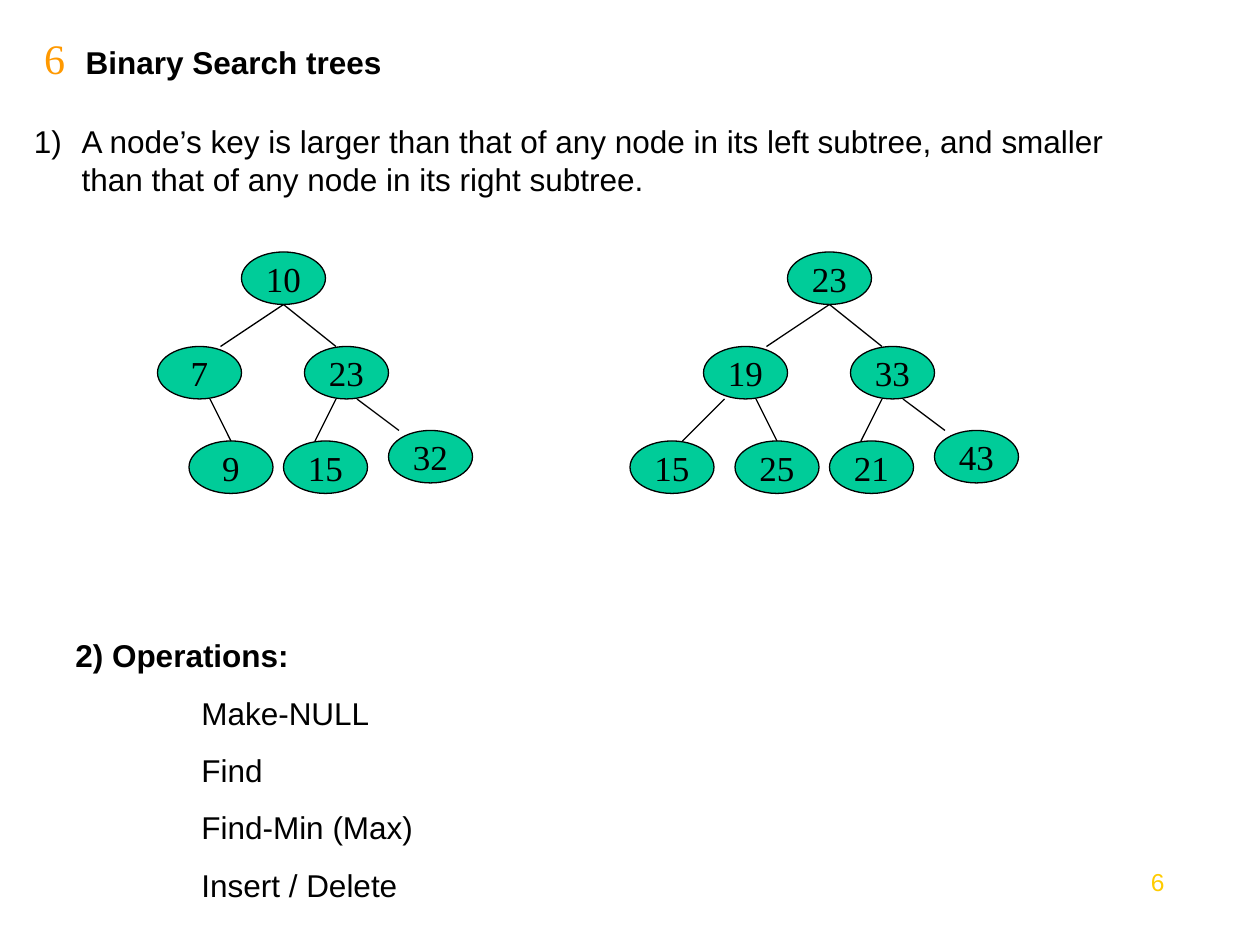
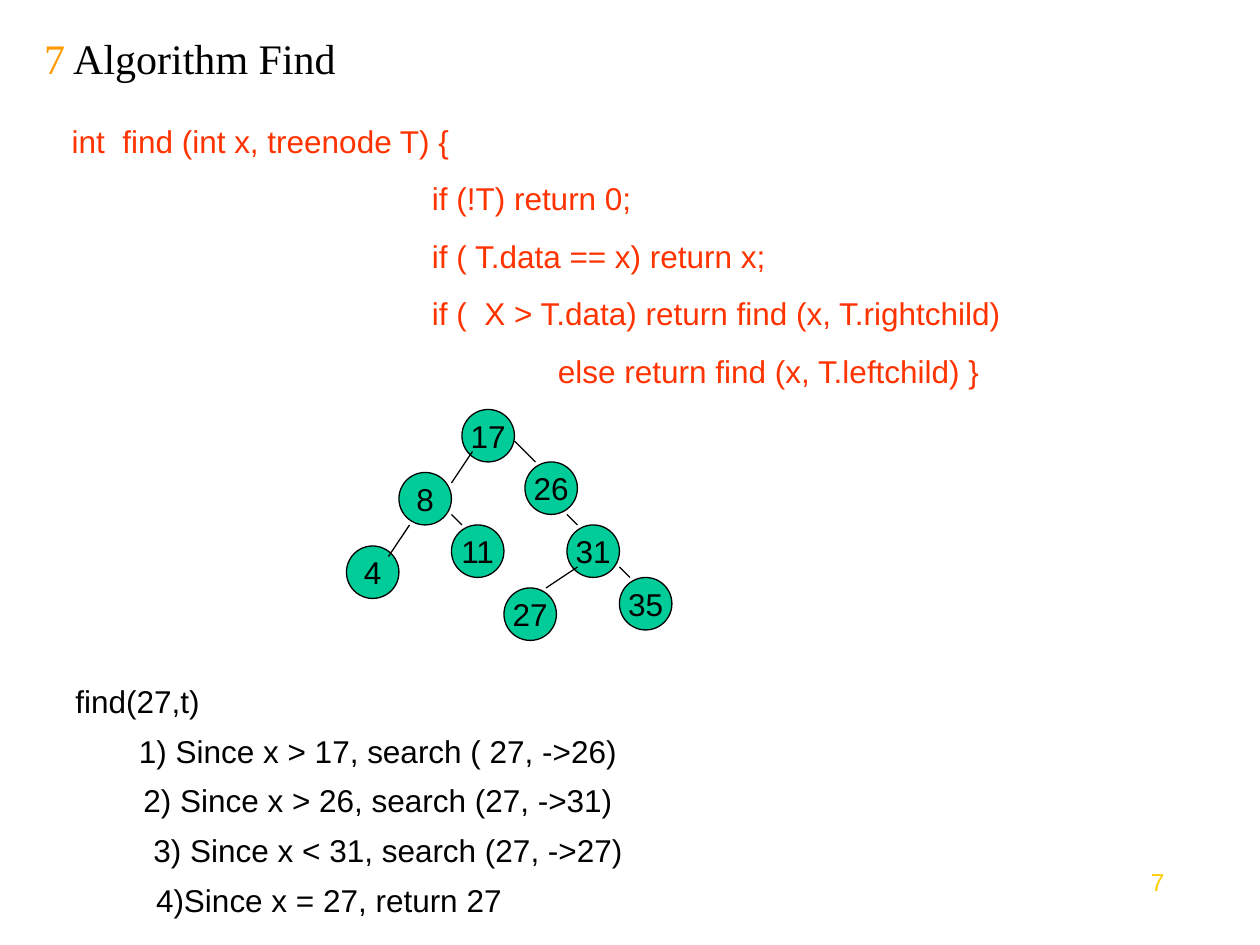
from lxml import etree
from pptx import Presentation
from pptx.dml.color import RGBColor
from pptx.enum.shapes import MSO_CONNECTOR, MSO_SHAPE
from pptx.enum.text import MSO_ANCHOR, MSO_AUTO_SIZE, PP_ALIGN
from pptx.oxml.ns import qn
from pptx.util import Inches, Pt

LEFT, CENTER, RIGHT = PP_ALIGN.LEFT, PP_ALIGN.CENTER, PP_ALIGN.RIGHT
MIDDLE = MSO_ANCHOR.MIDDLE
NO_FIT = MSO_AUTO_SIZE.NONE
ELLIPSE = MSO_SHAPE.OVAL
STRAIGHT = MSO_CONNECTOR.STRAIGHT

COLORS = {
    "ink": "000000",
    "node": "00CC99",
    "code": "FF3300",
    "title number": "FF9900",
    "page number": "FFCC00",
}
BODY = {"name": "Arial", "size": Pt(18), "bold": False, "color": "ink"}
BOLD = {**BODY, "bold": True}
CODE = {**BODY, "color": "code"}
TITLE = {**BODY, "name": "Times New Roman", "size": Pt(24)}
TITLE_NUMBER = {**TITLE, "color": "title number"}
PAGE_NUMBER = {**BODY, "size": Pt(14), "color": "page number"}
SERIF_KEY = {**TITLE, "size": Pt(20)}
GRID = 12


def write(frame, lines, **spacing):
    for index, (runs, indent, align) in enumerate(lines):
        paragraph = frame.add_paragraph() if index else frame.paragraphs[0]
        paragraph.alignment = align
        paragraph._p.get_or_add_pPr().set("marL", str(Inches(indent)))
        for attribute, value in spacing.items():
            if index or attribute != "space_before":
                setattr(paragraph, attribute, value)
        for text, style in runs:
            run = paragraph.add_run()
            run.text = text
            for attribute, value in style.items():
                if attribute == "color":
                    run.font.color.rgb = RGBColor.from_string(COLORS[value])
                else:
                    setattr(run.font, attribute, value)


def draw_tree(slide, root, node_size, keys, edges, style):
    tree = slide.shapes.add_group_shape().shapes
    root_x, root_y = root
    width, height = node_size
    for key, x, y in keys:
        node = tree.add_shape(
            ELLIPSE,
            Inches((root_x + x) / GRID), Inches((root_y + y) / GRID),
            Inches(width / GRID), Inches(height / GRID),
        )
        node.shadow.inherit = False
        node.fill.solid()
        node.fill.fore_color.rgb = RGBColor.from_string(COLORS["node"])
        node.line.color.rgb = RGBColor.from_string(COLORS["ink"])
        node.line.width = Pt(0.75)
        node.text_frame.word_wrap = False
        node.text_frame.vertical_anchor = MIDDLE
        write(node.text_frame, [([(str(key), style)], 0, CENTER)])
    for x1, y1, x2, y2 in edges:
        edge = tree.add_connector(
            STRAIGHT,
            Inches((root_x + x1) / GRID), Inches((root_y + y1) / GRID),
            Inches((root_x + x2) / GRID), Inches((root_y + y2) / GRID),
        )
        edge.line.color.rgb = RGBColor.from_string(COLORS["ink"])
        edge.line.width = Pt(0.75)
        etree.SubElement(edge._element.spPr, qn("a:effectLst"))


prs = Presentation()
prs.slide_width, prs.slide_height = Inches(10), Inches(7.5)

wide_places = [(0, 0), (-8, 9), (6, 9), (-5, 18), (4, 18), (14, 17)]
wide_edges = [
    (4, 5, -2, 9), (4, 5, 9, 9), (-3, 14, -1, 18), (9, 14, 7, 18), (11, 14, 15, 17),
]
left_keys = [(key, *place) for key, place in zip([10, 7, 23, 9, 15, 32], wide_places)]
right_keys = [(key, *place) for key, place in zip([23, 19, 33, 25, 21, 43], wide_places)]
find_keys = [
    (17, 0, 0), (8, -6, 6), (4, -11, 13), (26, 6, 5),
    (31, 10, 11), (27, 4, 17), (11, -1, 11), (35, 15, 16),
]
find_edges = [
    (1, 4, -1, 7), (-5, 11, -7, 14), (5, 3, 7, 5), (10, 10, 11, 11),
    (11, 15, 8, 17), (-1, 10, 0, 11), (15, 15, 16, 16),
]

definition = (
    "A node’s key is larger than that of any node in its left subtree, "
    "and smaller than that of any node in its right subtree."
)
operations = [([("2) Operations:", BOLD)], 0, LEFT)] + [
    ([(name, BODY)], 1, LEFT)
    for name in ("Make-NULL", "Find", "Find-Min (Max)", "Insert / Delete")
]
find_code = [
    ([(code, CODE)], indent, LEFT)
    for code, indent in [
        ("int  find (int x, treenode T) {", 0.14),
        ("if (!T) return 0;", 3),
        ("if ( T.data == x) return x;", 3),
        ("if (  X > T.data) return find (x, T.rightchild)", 3),
        ("else return find (x, T.leftchild) }", 4),
    ]
]
find_steps = [
    ([(step, BODY)], indent, align)
    for step, indent, align in [
        ("find(27,t)", 0, LEFT),
        ("1) Since x > 17, search ( 27, ->26)", 0, CENTER),
        ("2) Since x > 26, search (27, ->31)", 0, CENTER),
        ("3) Since x < 31, search (27, ->27)", 0.62, LEFT),
        ("4)Since x = 27, return 27", 0.64, LEFT),
    ]
]

pages = [
    {
        "number": "6",
        "title": ("\tBinary Search trees", BOLD),
        "texts": [
            ((0.17, 0.92, 9, 0.7), [([(definition, BODY)], 0.38, LEFT)], {}),
            ((0.5, 5, 5, 2.23), operations, {}),
        ],
        "trees": [
            ((23, 24), (8, 5), left_keys, wide_edges, SERIF_KEY),
            ((75, 24), (8, 5), right_keys + [(15, -15, 18)],
             wide_edges + [(-6, 14, -10, 18)], SERIF_KEY),
        ],
    },
    {
        "number": "7",
        "title": (" Algorithm Find", TITLE),
        "texts": [
            ((0.33, 0.92, 9, 2.23), find_code, {}),
            ((0.5, 5.42, 5, 1.93), find_steps, {"line_spacing": 0.8}),
        ],
        "trees": [((44, 39), (5, 5), find_keys, find_edges, BODY)],
    },
]

for page in pages:
    slide = prs.slides.add_slide(prs.slide_layouts[5])
    title = slide.shapes.title
    title.left, title.top = Inches(0.25), Inches(0.25)
    title.width, title.height = Inches(8.5), Inches(0.42)
    title.text_frame.auto_size = NO_FIT
    title.text_frame.vertical_anchor = MIDDLE
    title_properties = title.text_frame.paragraphs[0]._p.get_or_add_pPr()
    tab_stops = etree.SubElement(title_properties, qn("a:tabLst"))
    etree.SubElement(tab_stops, qn("a:tab"), pos=str(Inches(0.33)), algn="l")
    write(title.text_frame, [([(page["number"], TITLE_NUMBER), page["title"]], 0, LEFT)])

    number_line = [([(page["number"], PAGE_NUMBER)], 0, RIGHT)]
    footer = ((8.67, 6.83, 0.67, 0.52), number_line, {})
    for place, lines, spacing in [footer] + page["texts"]:
        box = slide.shapes.add_textbox(*map(Inches, place))
        box.text_frame.word_wrap = True
        if lines[0][0][0][0] == definition:
            numbering = box.text_frame.paragraphs[0]._p.get_or_add_pPr()
            numbering.set("indent", str(Inches(-0.38)))
            etree.SubElement(numbering, qn("a:buFont"), typeface="Arial")
            etree.SubElement(numbering, qn("a:buAutoNum"), type="arabicParenR")
        write(box.text_frame, lines, space_before=Pt(11.2), **spacing)

    for tree in page["trees"]:
        draw_tree(slide, *tree)

prs.save("out.pptx")
